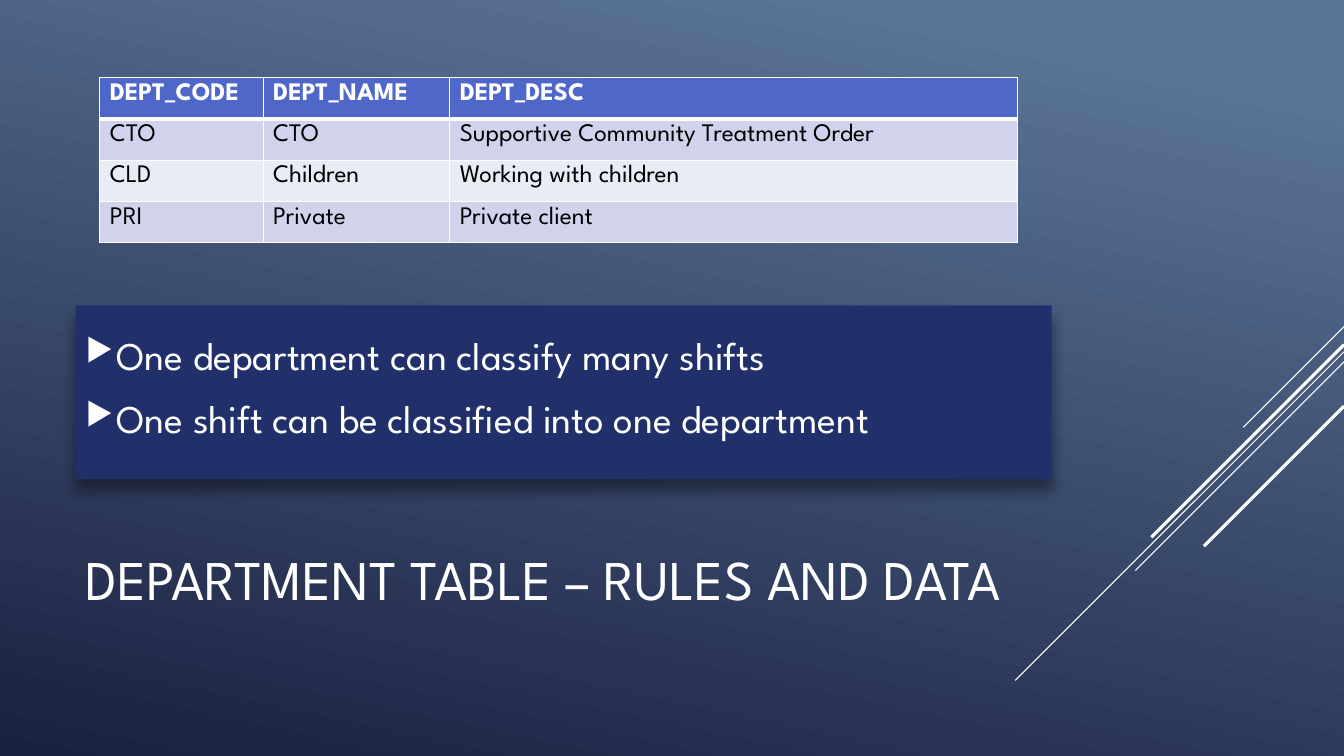
from dataclasses import dataclass

from lxml import etree
from pptx import Presentation
from pptx.dml.color import RGBColor
from pptx.enum.shapes import MSO_CONNECTOR, MSO_SHAPE
from pptx.enum.text import MSO_ANCHOR, MSO_AUTO_SIZE, PP_ALIGN
from pptx.oxml.ns import qn
from pptx.util import Inches, Pt

STRAIGHT = MSO_CONNECTOR.STRAIGHT
RECTANGLE = MSO_SHAPE.RECTANGLE
MIDDLE = MSO_ANCHOR.MIDDLE
NO_AUTOFIT = MSO_AUTO_SIZE.NONE
LEFT = PP_ALIGN.LEFT
TITLE_ONLY = 5


@dataclass(frozen=True)
class Theme:
    font: str = "League Spartan"
    white: str = "FFFFFF"
    black: str = "000000"
    sky: str = "597496"
    night: str = "1A2040"
    panel: str = "21306A"
    header: str = "4E67C8"
    bands: tuple = ("D0D3EB", "E9EBF5")
    title_size: int = 40
    rule_size: int = 28
    table_size: int = 18


THEME = Theme()

SLIDE_WIDTH, SLIDE_HEIGHT = 13.33, 7.5

# Diagonals run down and left from the right edge: start height, run, weight
DIAGONALS = [
    (3.24, 1.0, 0.75),
    (3.49, 3.26, 0.75),
    (3.59, 2.07, 0.75),
    (3.42, 1.91, 2.25),
    (4.03, 1.39, 2.25),
]

DEPARTMENTS = [
    ("DEPT_CODE", "DEPT_NAME", "DEPT_DESC"),
    ("CTO", "CTO", "Supportive Community Treatment Order"),
    ("CLD", "Children", "Working with children"),
    ("PRI", "Private", "Private client"),
]
COLUMN_WIDTHS = (1.62, 1.85, 5.63)
ROW_HEIGHT = 0.41

RULES = [
    "One department can classify many shifts",
    "One shift can be classified into one department",
]


def rgb(color):
    return RGBColor.from_string(color)


def box(left, top, width, height):
    return [Inches(value) for value in (left, top, width, height)]


def add_element(parent, tag, **attributes):
    element = etree.SubElement(parent, qn(tag))
    for name, value in attributes.items():
        element.set(name, str(value))
    return element


def style_font(paragraph, size, color, bold=False):
    font = paragraph.font
    font.name = THEME.font
    font.size = Pt(size)
    font.bold = bold
    font.color.rgb = rgb(color)


def paint_background(slide):
    fill = slide.background.fill
    fill.gradient()
    fill.gradient_angle = 258
    stops = ((0.1, THEME.sky), (1.0, THEME.night))
    for stop, (position, color) in zip(fill.gradient_stops, stops):
        stop.position = position
        stop.color.rgb = rgb(color)


def add_diagonal(slide, top, run, weight):
    diagonal = slide.shapes.add_connector(
        STRAIGHT, Inches(SLIDE_WIDTH), Inches(top),
        Inches(SLIDE_WIDTH - run), Inches(top + run))
    diagonal.line.color.rgb = rgb(THEME.white)
    diagonal.line.width = Pt(weight)
    add_element(diagonal._element.spPr, "a:effectLst")


def add_panel(slide, *place):
    panel = slide.shapes.add_shape(RECTANGLE, *box(*place))
    panel.fill.solid()
    panel.fill.fore_color.rgb = rgb(THEME.panel)
    panel.line.fill.background()
    # Soft shadow falling straight down
    effects = add_element(panel._element.spPr, "a:effectLst")
    shadow = add_element(effects, "a:outerShdw", blurRad=Pt(9), dist=Pt(8),
                         dir=90 * 60000, algn="ctr", rotWithShape=0)
    color = add_element(shadow, "a:srgbClr", val=THEME.black)
    add_element(color, "a:alpha", val=40000)


def set_title(slide, text, *place):
    title = slide.shapes.title
    title.left, title.top, title.width, title.height = box(*place)
    frame = title.text_frame
    frame.text = text
    frame.word_wrap = True
    frame.auto_size = NO_AUTOFIT
    frame.vertical_anchor = MIDDLE
    paragraph = frame.paragraphs[0]
    paragraph.alignment = LEFT
    style_font(paragraph, THEME.title_size, THEME.white)


def set_borders(cell, top, bottom):
    properties = cell._tc.get_or_add_tcPr()
    for side, weight in (("L", 1), ("R", 1), ("T", top), ("B", bottom)):
        border = add_element(properties, f"a:ln{side}", w=Pt(weight))
        fill = add_element(border, "a:solidFill")
        add_element(fill, "a:srgbClr", val=THEME.white)


def add_department_table(slide, left, top):
    place = box(left, top, sum(COLUMN_WIDTHS), ROW_HEIGHT * len(DEPARTMENTS))
    table = slide.shapes.add_table(
        len(DEPARTMENTS), len(COLUMN_WIDTHS), *place).table
    for column, width in zip(table.columns, COLUMN_WIDTHS):
        column.width = Inches(width)
    for row, values in enumerate(DEPARTMENTS):
        is_header = row == 0
        table.rows[row].height = Inches(ROW_HEIGHT)
        background = THEME.header if is_header else THEME.bands[(row - 1) % 2]
        for column, value in enumerate(values):
            cell = table.cell(row, column)
            cell.text = value
            style_font(cell.text_frame.paragraphs[0], THEME.table_size,
                       THEME.white if is_header else THEME.black, is_header)
            # The rule under the header is heavier
            set_borders(cell, top=3 if row == 1 else 1,
                        bottom=3 if is_header else 1)
            cell.fill.solid()
            cell.fill.fore_color.rgb = rgb(background)


def add_bullet(paragraph, indent):
    properties = paragraph._p.get_or_add_pPr()
    properties.set("marL", str(Inches(indent)))
    properties.set("indent", str(-Inches(indent)))
    color = etree.Element(qn("a:buClr"))
    add_element(color, "a:srgbClr", val=THEME.white)
    size = etree.Element(qn("a:buSzPct"), val="80000")
    mark = etree.Element(qn("a:buChar"), char="▶")
    # Bullet parts come after spacing and before the font defaults
    defaults = properties.find(qn("a:defRPr"))
    for part in (color, size, mark):
        defaults.addprevious(part)


def add_rules(slide, *place):
    frame = slide.shapes.add_textbox(*box(*place)).text_frame
    frame.word_wrap = True
    frame.vertical_anchor = MIDDLE
    for index, rule in enumerate(RULES):
        paragraph = frame.add_paragraph() if index else frame.paragraphs[0]
        paragraph.text = rule
        paragraph.space_before = Pt(0.2 * THEME.rule_size)
        paragraph.space_after = Pt(6)
        style_font(paragraph, THEME.rule_size, THEME.white)
        add_bullet(paragraph, 0.31)


def main():
    presentation = Presentation()
    presentation.slide_width = Inches(SLIDE_WIDTH)
    presentation.slide_height = Inches(SLIDE_HEIGHT)
    slide = presentation.slides.add_slide(
        presentation.slide_layouts[TITLE_ONLY])

    # Backdrop
    paint_background(slide)
    for diagonal in DIAGONALS:
        add_diagonal(slide, *diagonal)

    # Content
    add_panel(slide, 0.75, 3.03, 9.68, 1.72)
    set_title(slide, "DEPARTMENT TABLE – RULES AND DATA",
              0.75, 4.91, 9.33, 1.65)
    add_department_table(slide, 0.99, 0.77)
    add_rules(slide, 0.75, 2.9, 10.81, 1.86)

    presentation.save("out.pptx")


if __name__ == "__main__":
    main()
